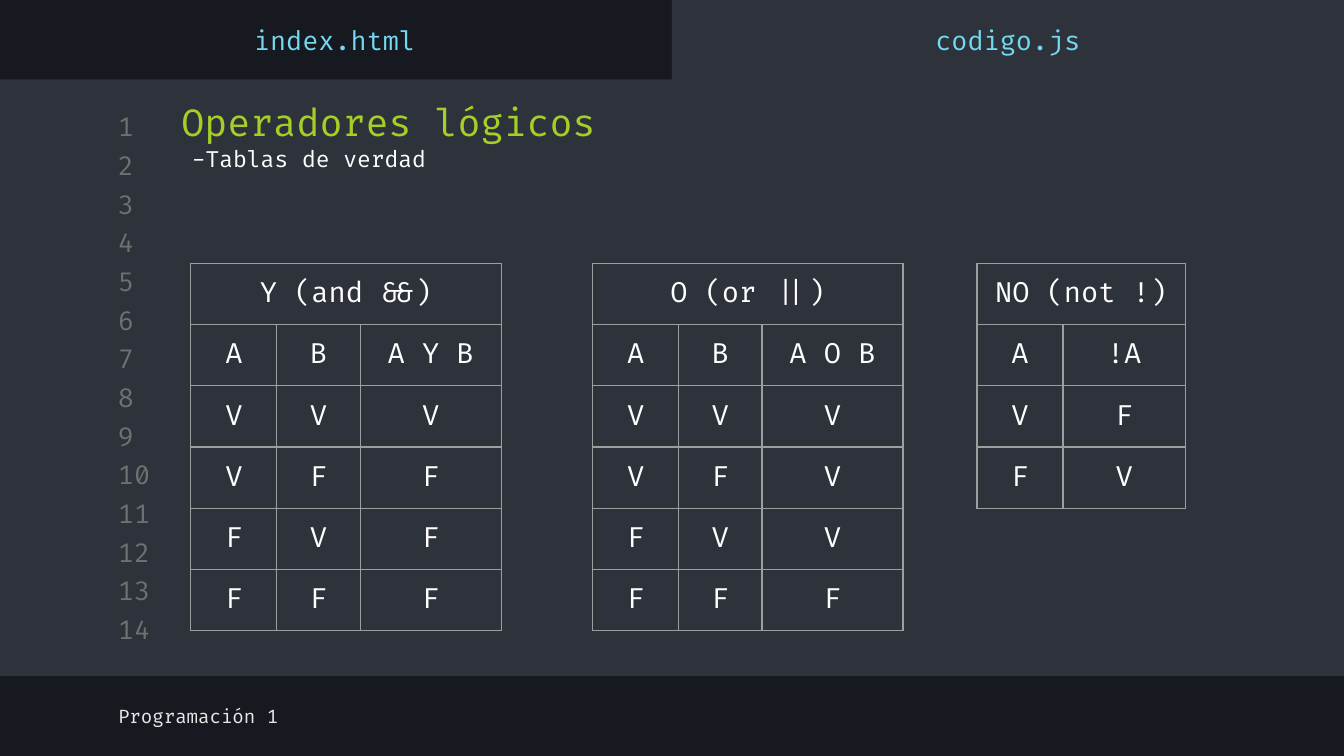
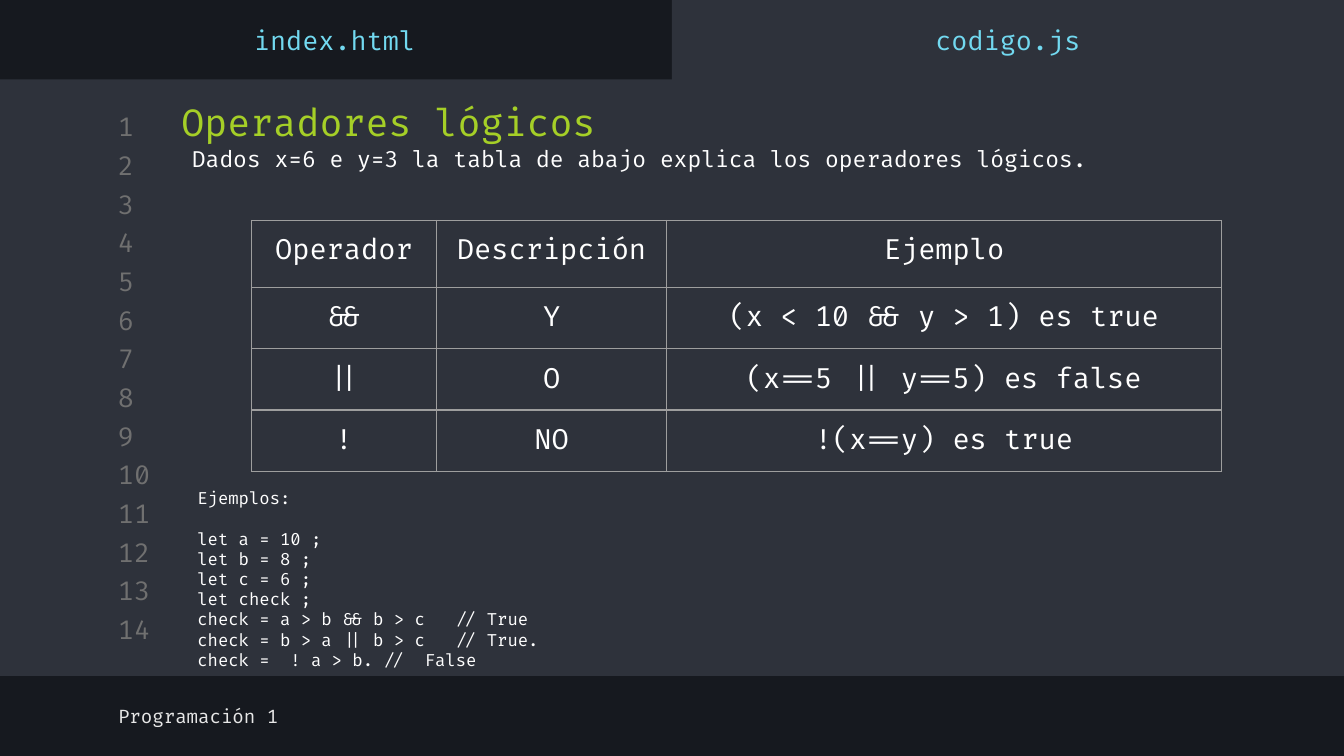
from dataclasses import dataclass

from lxml import etree
from pptx import Presentation
from pptx import util as u
from pptx.dml.color import RGBColor
from pptx.enum import shapes, text
from pptx.oxml import ns

FONT = "Fira Code"
COLORS = {
    "frame": "16191F",
    "editor": "2E323B",
    "line_number": "707070",
    "title": "A5CF27",
    "tab": "72D9F0",
    "footer": "E7E7E7",
    "body": "FFFFFF",
    "grid": "9E9E9E",
}
LEFT, CENTER = text.PP_ALIGN.LEFT, text.PP_ALIGN.CENTER
TOP, MIDDLE = text.MSO_ANCHOR.TOP, text.MSO_ANCHOR.MIDDLE
CODE_CHARS_PER_INCH = 13
LINE_COUNT = 14
ROW_HEIGHT = 0.42
TRUTH_COLUMNS = (0.64, 0.62, 1.05)


@dataclass(frozen=True)
class Area:
    left: float
    top: float
    width: float
    height: float

    def lengths(self) -> tuple:
        return tuple(u.Inches(v) for v in (self.left, self.top, self.width, self.height))


@dataclass(frozen=True)
class Label:
    words: str
    area: Area
    size: float
    color: str
    align: int = LEFT
    anchor: int = MIDDLE


@dataclass(frozen=True)
class Grid:
    left: float
    top: float
    columns: tuple
    rows: tuple
    heading: str = ""
    first_height: float = ROW_HEIGHT


@dataclass(frozen=True)
class CodeLine:
    words: str
    tab_columns: tuple = ()
    gap_after: float = 0


BANDS = (Area(0, 0.59, 10, 4.44), Area(5, 0, 5, 0.65))
NUMBERS = tuple(
    Label(str(i + 1), Area(0.78, 0.82 + 3.74 * i / (LINE_COUNT - 1), 0.47, 0.24),
          14, "line_number")
    for i in range(LINE_COUNT)
)
LABELS = (
    Label("Programación 1", Area(0.78, 5.13, 5.32, 0.39), 10, "footer"),
    Label("index.html", Area(-0.01, 0.1, 5, 0.39), 14, "tab", CENTER),
    Label("codigo.js", Area(5, 0.1, 5, 0.39), 14, "tab", CENTER),
)
TRUTH_TABLES = (
    Grid(1.42, 1.96, TRUTH_COLUMNS,
         (("A", "B", "A Y B"), "VVV", "VFF", "FVF", "FFF"), "Y (and &&)"),
    Grid(4.41, 1.96, TRUTH_COLUMNS,
         (("A", "B", "A O B"), "VVV", "VFV", "FVV", "FFF"), "O (or ||)"),
    Grid(7.27, 1.96, (0.64, 0.91), (("A", "!A"), "VF", "FV"), "NO (not !)"),
)
OPERATOR_TABLE = Grid(
    1.87, 1.64, (1.38, 1.71, 4.13),
    (
        ("Operador", "Descripción", "Ejemplo"),
        ("&&", "Y", "(x < 10 && y > 1) es true"),
        ("||", "O", "(x==5 || y==5) es false"),
        ("!", "NO", "!(x==y) es true"),
    ),
    first_height=0.5,
)
CODE = (
    CodeLine("Ejemplos:", gap_after=10.8),
    CodeLine("let a = 10 ;"),
    CodeLine("let b = 8 ;"),
    CodeLine("let c = 6 ;"),
    CodeLine("let check ;"),
    CodeLine("check = a > b && b > c\t// True", (25,)),
    CodeLine("check = b > a || b > c\t// True.", (25,)),
    CodeLine("check =\t! a > b. //\tFalse", (9, 22)),
)


def rgb(name: str) -> RGBColor:
    return RGBColor.from_string(COLORS[name])


def write(para, words: str, *, size: float, color: str = "body", align=LEFT) -> None:
    para.alignment = align
    span = para.add_run()
    span.text = words
    span.font.name = FONT
    span.font.size = u.Pt(size)
    span.font.bold = False
    span.font.color.rgb = rgb(color)


def set_frame(frame, anchor=TOP) -> None:
    frame.word_wrap = True
    frame.auto_size = text.MSO_AUTO_SIZE.NONE
    frame.vertical_anchor = anchor
    frame.margin_left = frame.margin_right = u.Inches(0.1)
    frame.margin_top = frame.margin_bottom = u.Inches(0.1)


def add_label(page, label: Label):
    box = page.shapes.add_textbox(*label.area.lengths())
    set_frame(box.text_frame, label.anchor)
    write(box.text_frame.paragraphs[0], label.words, size=label.size,
          color=label.color, align=label.align)
    return box


def add_band(page, area: Area):
    band = page.shapes.add_shape(shapes.MSO_SHAPE.RECTANGLE, *area.lengths())
    band.shadow.inherit = False
    band.fill.solid()
    band.fill.fore_color.rgb = rgb("editor")
    band.line.fill.background()
    return band


def fill_layout(layout, page) -> None:
    parts = [add_band(page, area) for area in BANDS]
    parts += [add_label(page, label) for label in NUMBERS]
    for number, part in enumerate(parts, start=100):
        part.element.xpath("./p:nvSpPr/p:cNvPr")[0].set("id", str(number))
        layout.shapes.element.append(part.element)


def set_borders(cell) -> None:
    properties = cell._tc.get_or_add_tcPr()
    for position, side in enumerate(("lnL", "lnR", "lnT", "lnB")):
        line = etree.Element(ns.qn(f"a:{side}"), w=str(u.Pt(0.75)))
        fill = etree.SubElement(line, ns.qn("a:solidFill"))
        etree.SubElement(fill, ns.qn("a:srgbClr"), val=COLORS["grid"])
        properties.insert(position, line)


def add_grid(page, grid: Grid) -> None:
    rows = ([(grid.heading,)] if grid.heading else []) + list(grid.rows)
    heights = [grid.first_height] + [ROW_HEIGHT] * (len(rows) - 1)
    area = Area(grid.left, grid.top, sum(grid.columns), sum(heights))
    table = page.shapes.add_table(len(rows), len(grid.columns), *area.lengths()).table
    table.first_row = table.horz_banding = False
    for column, width in zip(table.columns, grid.columns):
        column.width = u.Inches(width)
    for row, height in zip(table.rows, heights):
        row.height = u.Inches(height)
    for cell in table.iter_cells():
        cell.fill.background()
        cell.margin_left = cell.margin_right = u.Inches(0.1)
        cell.margin_top = cell.margin_bottom = u.Inches(0.1)
        set_borders(cell)
    if grid.heading:
        table.cell(0, 0).merge(table.cell(0, len(grid.columns) - 1))
    for i, row in enumerate(rows):
        for j, words in enumerate(row):
            write(table.cell(i, j).text_frame.paragraphs[0], words, size=15, align=CENTER)


def add_code(page, area: Area, lines: tuple) -> None:
    frame = page.shapes.add_textbox(*area.lengths()).text_frame
    set_frame(frame)
    for i, line in enumerate(lines):
        para = frame.add_paragraph() if i else frame.paragraphs[0]
        write(para, line.words, size=9)
        para.space_after = u.Pt(line.gap_after)
        if line.tab_columns:
            stops = etree.SubElement(para._p.get_or_add_pPr(), ns.qn("a:tabLst"))
            for column in line.tab_columns:
                etree.SubElement(stops, ns.qn("a:tab"), algn="l",
                                 pos=str(u.Inches(column / CODE_CHARS_PER_INCH)))


def add_page(deck, layout, subtitle: str, subtitle_width: float):
    page = deck.slides.add_slide(layout)
    title = page.shapes.title
    title.left, title.top, title.width, title.height = Area(1.25, 0.64, 7.97, 0.59).lengths()
    set_frame(title.text_frame)
    write(title.text_frame.paragraphs[0], "Operadores lógicos", size=20, color="title")
    for label in LABELS:
        add_label(page, label)
    add_label(page, Label(subtitle, Area(1.33, 0.98, subtitle_width, 0.39),
                          12, "body", anchor=TOP))
    return page


def main() -> None:
    deck = Presentation()
    deck.slide_width = u.Inches(10)
    deck.slide_height = u.Emu(deck.slide_width * 9 // 16)
    background = deck.slide_master.background.fill
    background.solid()
    background.fore_color.rgb = rgb("frame")
    layout = deck.slide_layouts.get_by_name("Title Only")

    page = add_page(deck, layout, "-Tablas de verdad", 1.97)
    fill_layout(layout, page)
    for grid in TRUTH_TABLES:
        add_grid(page, grid)

    page = add_page(
        deck, layout,
        "Dados x=6 e y=3 la tabla de abajo explica los operadores lógicos.", 8.28)
    add_grid(page, OPERATOR_TABLE)
    add_code(page, Area(1.37, 3.53, 7.72, 1.41), CODE)

    deck.save("out.pptx")


if __name__ == "__main__":
    main()
